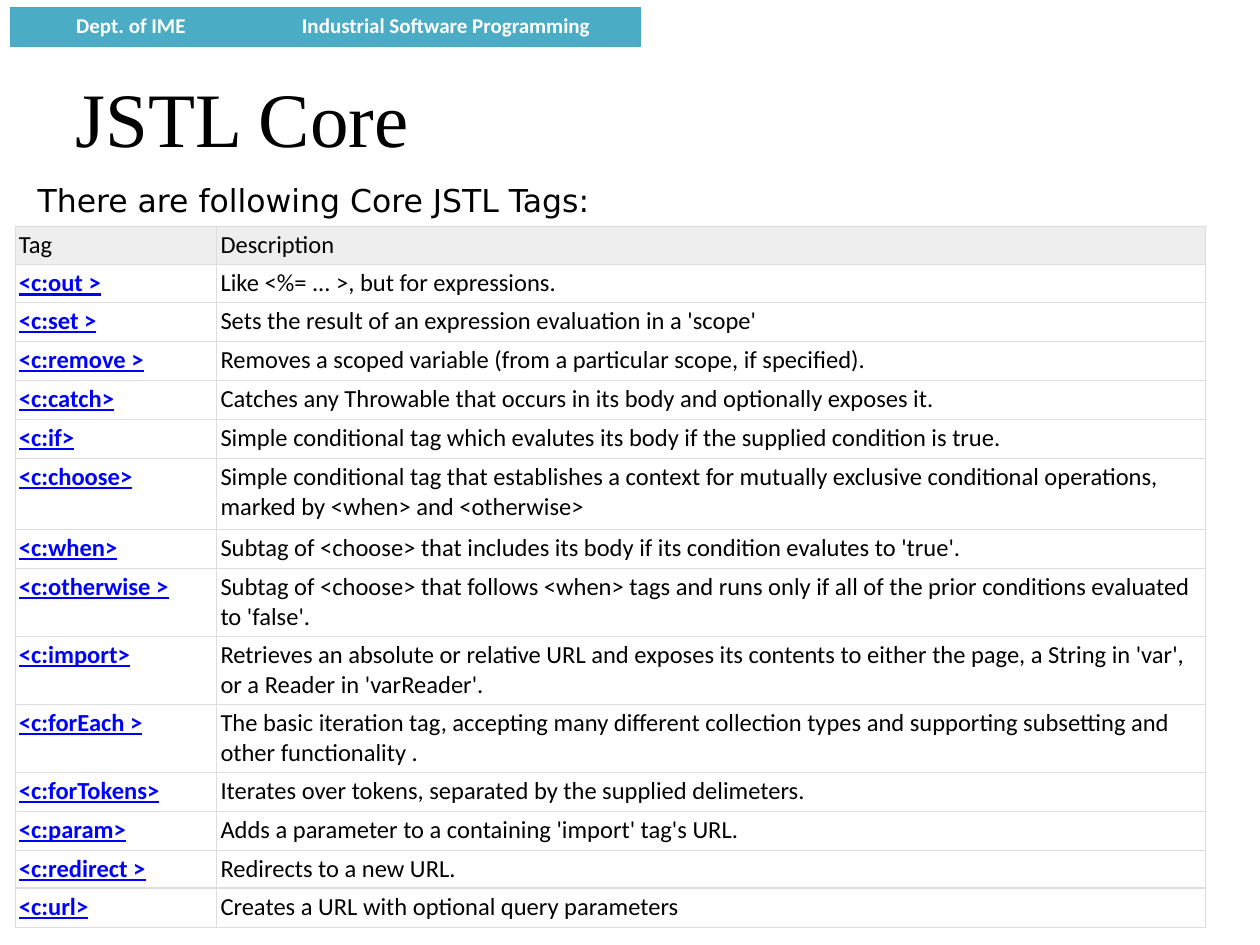
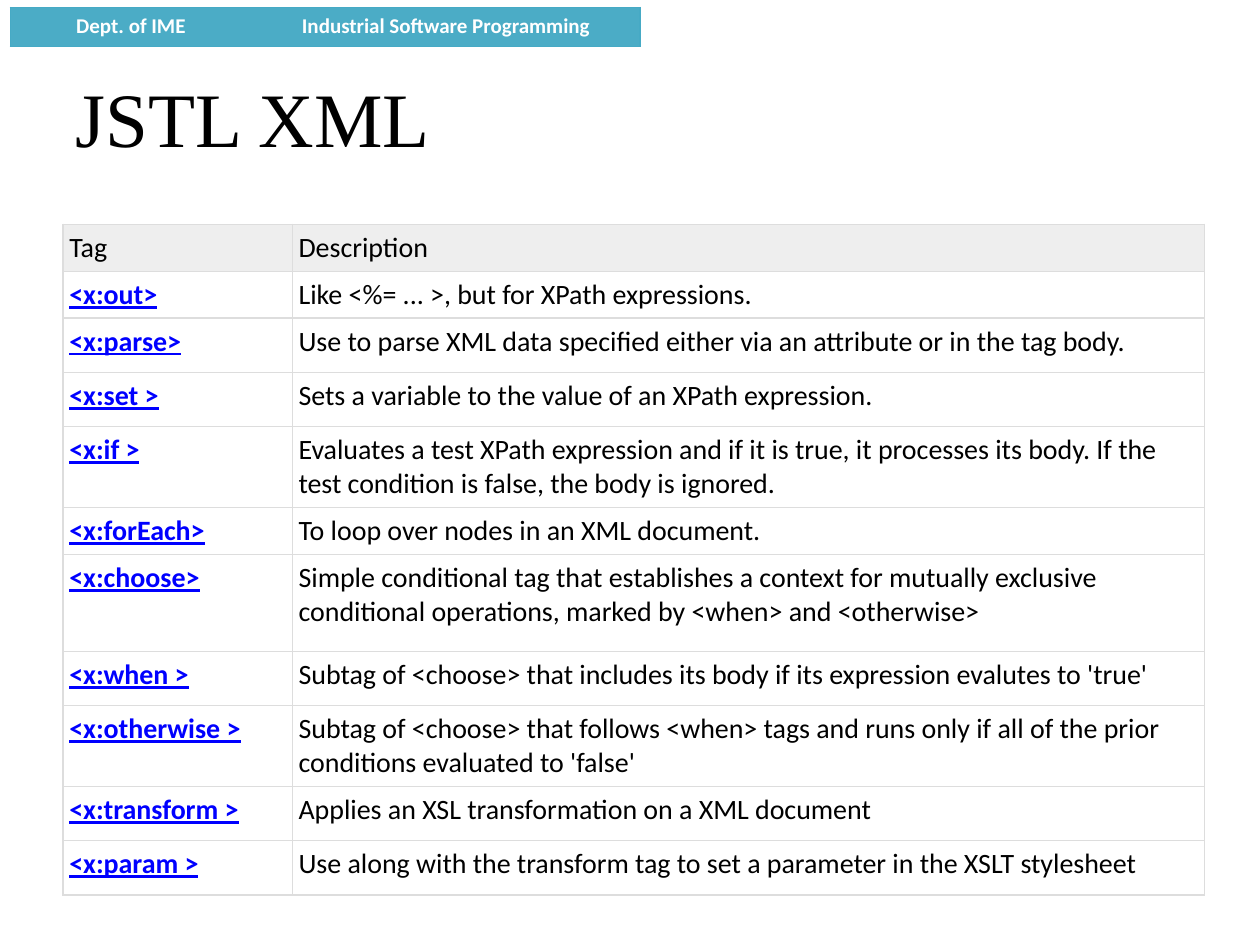
from dataclasses import dataclass

import pptx
import pptx.dml.color
import pptx.enum.text
import pptx.oxml
import pptx.oxml.ns
import pptx.util

Inches = pptx.util.Inches
Pt = pptx.util.Pt
Align = pptx.enum.text.PP_ALIGN
Anchor = pptx.enum.text.MSO_ANCHOR

# Shared look
COLORS = {
    "band": "4BACC6",
    "edge": "46AAC5",
    "head": "EEEEEE",
    "grid": "DDDDDD",
    "link": "0000FF",
    "text": "000000",
    "white": "FFFFFF",
}
SANS = "Calibri"
BAND = ("Dept. of IME", "Industrial Software Programming")
HEAD = ("Tag", "Description")


@dataclass
class Grid:
    """A table of tags: place, column widths, row heights, text size, rows."""
    left: float
    top: float
    cols: tuple[float, float]
    heights: list[float]
    size: int
    inset: float
    rows: list[tuple[str, str]]


@dataclass
class Page:
    title: str
    grid: Grid
    lead: str = ""


# Content
CORE = Grid(
    0.12, 1.8, (1.6, 7.85),
    [0.3, 0.3] + [0.31] * 4 + [0.56, 0.31] + [0.54] * 3 + [0.31, 0.31, 0.3, 0.31],
    14, 0.03,
    [
        ("<c:out >", "Like <%= ... >, but for expressions."),
        ("<c:set >", "Sets the result of an expression evaluation in a 'scope'"),
        ("<c:remove >", "Removes a scoped variable (from a particular scope, if specified)."),
        ("<c:catch>", "Catches any Throwable that occurs in its body and optionally exposes it."),
        ("<c:if>", "Simple conditional tag which evalutes its body if the supplied "
                   "condition is true."),
        ("<c:choose>", "Simple conditional tag that establishes a context for mutually "
                       "exclusive conditional operations, marked by <when> and <otherwise>"),
        ("<c:when>", "Subtag of <choose> that includes its body if its condition "
                     "evalutes to 'true'."),
        ("<c:otherwise >", "Subtag of <choose> that follows <when> tags and runs only if "
                           "all of the prior conditions evaluated to 'false'."),
        ("<c:import>", "Retrieves an absolute or relative URL and exposes its contents to "
                       "either the page, a String in 'var', or a Reader in 'varReader'."),
        ("<c:forEach >", "The basic iteration tag, accepting many different collection "
                         "types and supporting subsetting and other functionality ."),
        ("<c:forTokens>", "Iterates over tokens, separated by the supplied delimeters."),
        ("<c:param>", "Adds a parameter to a containing 'import' tag's URL."),
        ("<c:redirect >", "Redirects to a new URL."),
        ("<c:url>", "Creates a URL with optional query parameters"),
    ],
)
XML = Grid(
    0.5, 1.78, (1.82, 7.24),
    [0.37, 0.37, 0.43, 0.43, 0.64, 0.37, 0.77, 0.43, 0.64, 0.43, 0.43],
    16, 0.05,
    [
        ("<x:out>", "Like <%= ... >, but for XPath expressions."),
        ("<x:parse>", "Use to parse XML data specified either via an attribute or in "
                      "the tag body."),
        ("<x:set >", "Sets a variable to the value of an XPath expression."),
        ("<x:if >", "Evaluates a test XPath expression and if it is true, it processes "
                    "its body. If the test condition is false, the body is ignored."),
        ("<x:forEach>", "To loop over nodes in an XML document."),
        ("<x:choose>", "Simple conditional tag that establishes a context for mutually "
                       "exclusive conditional operations, marked by <when> and <otherwise>"),
        ("<x:when >", "Subtag of <choose> that includes its body if its expression "
                      "evalutes to 'true'"),
        ("<x:otherwise >", "Subtag of <choose> that follows <when> tags and runs only if "
                           "all of the prior conditions evaluated to 'false'"),
        ("<x:transform >", "Applies an XSL transformation on a XML document"),
        ("<x:param >", "Use along with the transform tag to set a parameter in the XSLT "
                       "stylesheet"),
    ],
)
PAGES = [
    Page("JSTL Core", CORE, "There are following Core JSTL Tags:"),
    Page("JSTL XML", XML),
]


# Helpers
def paint(name: str) -> pptx.dml.color.RGBColor:
    return pptx.dml.color.RGBColor.from_string(COLORS[name])


def style(para, size: int, face: str, color: str, bold: bool = False) -> None:
    font = para.font
    font.size, font.name, font.bold = Pt(size), face, bold
    font.color.rgb = paint(color)


def border(cell, color: str, sides: str = "LRTB") -> None:
    """Line the given sides of a cell and clear the others."""
    props = cell._tc.get_or_add_tcPr()
    space = pptx.oxml.ns.nsdecls("a")
    for spot, side in enumerate("LRTB"):
        fill = "<a:noFill/>"
        if side in sides:
            fill = f'<a:solidFill><a:srgbClr val="{COLORS[color]}"/></a:solidFill>'
        line = f'<a:ln{side} {space} w="{Pt(0.75)}">{fill}</a:ln{side}>'
        props.insert(spot, pptx.oxml.parse_xml(line))


def add_grid(slide, left: float, top: float, cols: tuple[float, ...],
             heights: list[float]):
    frame = slide.shapes.add_table(
        len(heights), len(cols), Inches(left), Inches(top),
        Inches(sum(cols)), Inches(sum(heights)))
    table = frame.table
    table.first_row = table.horz_banding = False
    for col, width in zip(table.columns, cols):
        col.width = Inches(width)
    for row, height in zip(table.rows, heights):
        row.height = Inches(height)
    return table


# Parts of a slide
def add_band(slide) -> None:
    table = add_grid(slide, 0.08, 0.06, (1.92, 3.08), [0.31])
    for cell, text, sides in zip(table.rows[0].cells, BAND, ("LTB", "RTB")):
        cell.text = text
        cell.fill.solid()
        cell.fill.fore_color.rgb = paint("band")
        border(cell, "edge", sides)
        para = cell.text_frame.paragraphs[0]
        para.alignment = Align.CENTER
        style(para, 12, SANS, "white", True)


def add_title(slide, text: str) -> None:
    title = slide.shapes.title
    title.left, title.top = Inches(0.5), Inches(0.3)
    title.width, title.height = Inches(9), Inches(1.25)
    title.text_frame.text = text
    title.text_frame.vertical_anchor = Anchor.MIDDLE
    para = title.text_frame.paragraphs[0]
    para.alignment = Align.LEFT
    style(para, 44, "Times New Roman", "text")


def add_tags(slide, grid: Grid) -> None:
    table = add_grid(slide, grid.left, grid.top, grid.cols, grid.heights)
    for r, texts in enumerate([HEAD] + grid.rows):
        for c, text in enumerate(texts):
            cell = table.cell(r, c)
            cell.text = text
            cell.margin_left = cell.margin_right = Inches(grid.inset)
            cell.margin_top = cell.margin_bottom = Inches(grid.inset)
            if r == 0:
                cell.fill.solid()
                cell.fill.fore_color.rgb = paint("head")
            else:
                cell.fill.background()
            border(cell, "grid")
            para = cell.text_frame.paragraphs[0]
            link = r > 0 and c == 0
            style(para, grid.size, SANS, "link" if link else "text", link)
            para.font.underline = link


def add_lead(slide, text: str) -> None:
    box = slide.shapes.add_textbox(Inches(0.2), Inches(1.39), Inches(8.11), Inches(0.4))
    frame = box.text_frame
    frame.word_wrap = True
    frame.auto_size = pptx.enum.text.MSO_AUTO_SIZE.SHAPE_TO_FIT_TEXT
    frame.vertical_anchor = Anchor.MIDDLE
    frame.text = text
    para = frame.paragraphs[0]
    para.alignment = Align.JUSTIFY
    style(para, 18, "DejaVu Sans", "text")


def main() -> None:
    deck = pptx.Presentation()
    deck.slide_width, deck.slide_height = Inches(10), Inches(7.5)
    for page in PAGES:
        slide = deck.slides.add_slide(deck.slide_layouts.get_by_name("Title Only"))
        add_band(slide)
        add_title(slide, page.title)
        add_tags(slide, page.grid)
        if page.lead:
            add_lead(slide, page.lead)
    deck.save("out.pptx")


if __name__ == "__main__":
    main()
